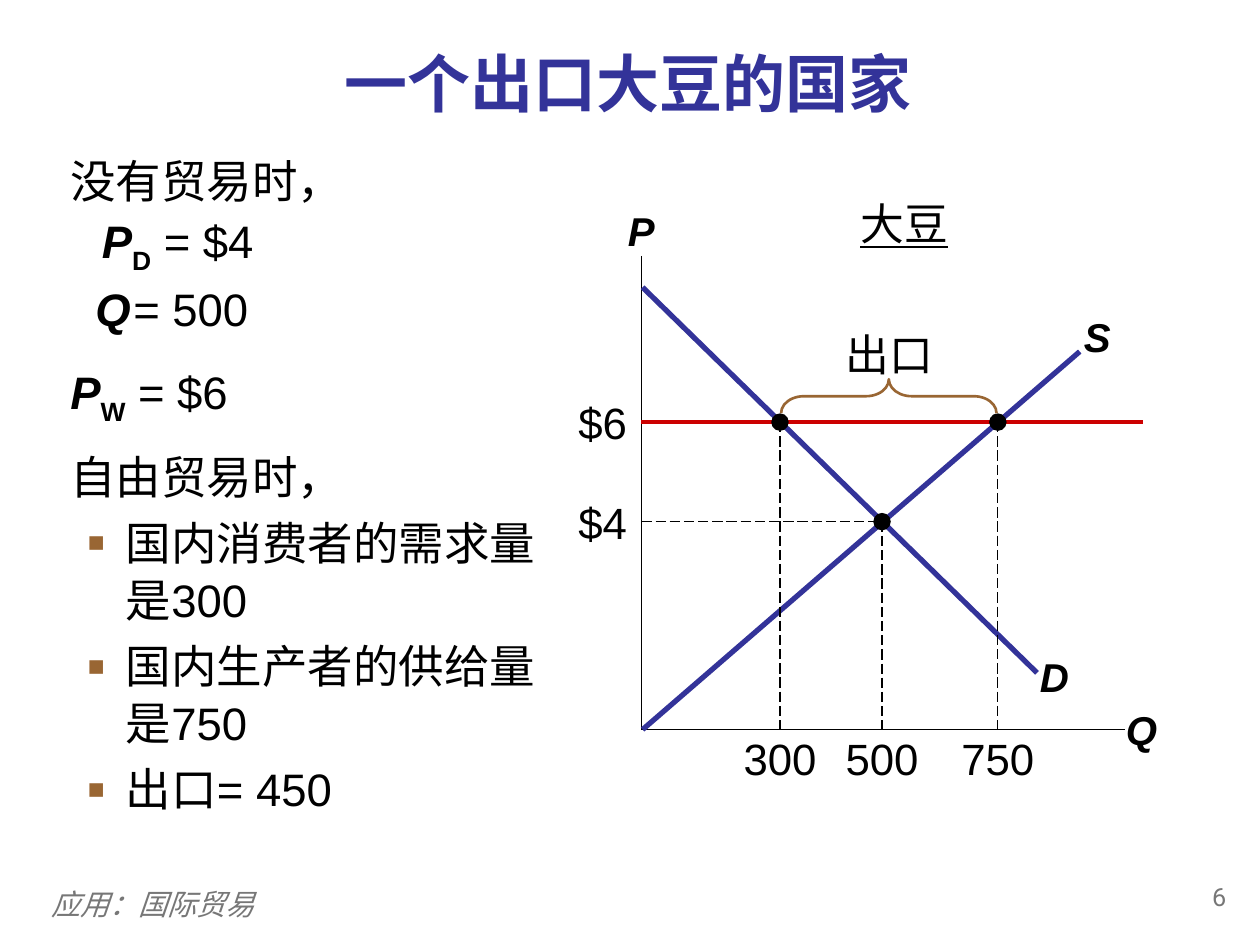
from lxml import etree
from pptx import Presentation
from pptx import util as u
from pptx.dml.color import RGBColor
from pptx.enum import dml, shapes, text
from pptx.oxml.ns import qn

Pt = u.Pt
COLORS = {"blue": "333399", "red": "CC0000", "brown": "996633",
          "black": "000000", "grey": "777777"}
LEFT, CENTER, RIGHT = (text.PP_ALIGN.LEFT, text.PP_ALIGN.CENTER,
                       text.PP_ALIGN.RIGHT)
TOP, MIDDLE = text.MSO_ANCHOR.TOP, text.MSO_ANCHOR.MIDDLE
STYLE = {
    "title": {"size": Pt(36), "name": "Vollkorn", "bold": True},
    "body": {"size": Pt(26), "name": "Arial"},
    "footer": {"size": Pt(16.6), "name": "Arial", "italic": True},
    "number": {"size": Pt(14.4), "name": "Roboto"},
    "letter": {"size": Pt(23), "name": "Arial", "bold": True, "italic": True},
    "label": {"size": Pt(25), "name": "Arial"},
    "heading": {"size": Pt(25), "name": "Arial", "underline": True},
}

deck = Presentation()
deck.slide_width, deck.slide_height = Pt(720), Pt(540)
page = deck.slides.add_slide(deck.slide_layouts[6])


def add_text(words, area, style, color="black", align=CENTER, anchor=MIDDLE,
             insets=(0, 0, 0, 0), spacing=1.0):
    box = page.shapes.add_textbox(*[Pt(n) for n in area])
    frame = box.text_frame
    frame.word_wrap = True
    frame.vertical_anchor = anchor
    for side, inset in zip(("left", "top", "right", "bottom"), insets):
        setattr(frame, f"margin_{side}", Pt(inset))
    para = frame.paragraphs[0]
    para.alignment, para.line_spacing = align, spacing
    span = para.add_run()
    span.text = words
    for name, value in STYLE[style].items():
        setattr(span.font, name, value)
    span.font.color.rgb = RGBColor.from_string(COLORS[color])


def add_line(start, end, color="black", width=0.75, dashed=False):
    line = page.shapes.add_connector(
        shapes.MSO_CONNECTOR.STRAIGHT, *[Pt(n) for n in (*start, *end)])
    line.line.color.rgb = RGBColor.from_string(COLORS[color])
    line.line.width = Pt(width)
    if dashed:
        line.line.dash_style = dml.MSO_LINE.LONG_DASH
    etree.SubElement(line._element.spPr, qn("a:effectLst"))


# Title, footer and page number
normal = (7.2, 3.6, 7.2, 3.6)
add_text("一个出口大豆的国家", (27.4, 20.2, 662.4, 53.3), "title", "blue",
         insets=normal)
add_text("应用：国际贸易", (22.3, 503.3, 577.4, 28.8), "footer", "grey", LEFT,
         insets=normal, spacing=0.9)
add_text("6", (653.8, 501.8, 54, 28.8), "number", "grey", RIGHT, TOP,
         normal, 0.9)

# Body: each entry is (runs, line spacing, space before, first-line indent)
plain, symbol, sub = {}, {"bold": True, "italic": True}, {"bold": True}
body_rows = [
    ([("没有贸易时，", plain)], 1.1, 0, 0),
    ([("P", symbol), ("D", sub), (" = $4", plain)], 1.1, 0, 18),
    ([("Q", symbol), ("\t= 500", plain)], 1.1, 0, 14.4),
    ([("P", symbol), ("W", sub), (" = $6", plain)], 1.05, 14.6, 0),
    ([("自由贸易时，", plain)], 1.05, 11.4, 0),
    ([("国内消费者的需求量是300", plain)], 1.05, 4.9, -22.3),
    ([("国内生产者的供给量是750", plain)], 1.05, 4.9, -22.3),
    ([("出口= 450", plain)], 1.05, 4.9, -22.3),
]
body = page.shapes.add_textbox(Pt(33.1), Pt(80.6), Pt(292.3), Pt(426.2))
body.text_frame.word_wrap = True
for index, (runs, spacing, before, indent) in enumerate(body_rows):
    frame = body.text_frame
    para = frame.add_paragraph() if index else frame.paragraphs[0]
    para.line_spacing, para.space_before = spacing, Pt(before)
    props = para._p.get_or_add_pPr()
    props.set("marL", str(Pt(31.7) if indent < 0 else 0))
    props.set("indent", str(Pt(indent)))
    if indent < 0:
        bullet_color = etree.SubElement(props, qn("a:buClr"))
        etree.SubElement(bullet_color, qn("a:srgbClr"), val=COLORS["brown"])
        etree.SubElement(props, qn("a:buSzPct"), val="120000")
        etree.SubElement(props, qn("a:buFont"), typeface="Arial")
        etree.SubElement(props, qn("a:buChar"), char="▪")
    elif "\t" in runs[-1][0]:
        tabs = etree.SubElement(props, qn("a:tabLst"))
        etree.SubElement(tabs, qn("a:tab"), pos=str(Pt(49)), algn="l")
    for words, extra in runs:
        span = para.add_run()
        span.text = words
        for name, value in {**STYLE["body"], **extra}.items():
            setattr(span.font, name, value)
        span.font.color.rgb = RGBColor.from_string(COLORS["black"])
        if extra is sub:
            span.font._element.set("baseline", "-25000")

# Graph scale
axis_x, axis_y = 366.5, 416.9
quantity_x = {"300": 445.7, "500": 504, "750": 570.2}
price_y = {"$6": 241.2, "$4": 298.1}

# Axes, demand, supply and world price
add_line((axis_x, 146.2), (axis_x, axis_y))
add_line((axis_x, axis_y), (643, axis_y))
add_line((367.2, 164.2), (592.6, 384.5), "blue", 3)
add_line((367.2, axis_y), (617, 200.9), "blue", 3)
add_line((axis_x, price_y["$6"]), (653, price_y["$6"]), "red", 2.25)
for letter, left, top in [("P", 352.1, 114.5), ("Q", 637.9, 399.6),
                          ("D", 588.2, 369.4), ("S", 612.7, 175)]:
    add_text(letter, (left, top, 28.8, 35.3), "letter", anchor=TOP,
             insets=(0, 3.6, 0, 3.6))

# Guides, points and axis labels
add_line((axis_x, price_y["$4"]), (quantity_x["500"], price_y["$4"]),
         dashed=True)
for price, y in price_y.items():
    add_text(price, (323.3, y - 15, 42, 30), "label", align=RIGHT,
             insets=(0, 0, 7.2, 0))
for quantity, x in quantity_x.items():
    y = price_y["$4" if quantity == "500" else "$6"]
    add_line((x, y), (x, axis_y), dashed=True)
    point = page.shapes.add_shape(shapes.MSO_SHAPE.OVAL, Pt(x - 5), Pt(y - 5),
                                  Pt(10), Pt(10))
    point.shadow.inherit = False
    point.fill.solid()
    point.fill.fore_color.rgb = RGBColor.from_string(COLORS["black"])
    point.line.fill.background()
    add_text(quantity, (x - 30, 418.3, 60, 30), "label")

# Heading and export brace
add_text("大豆", (441.4, 112.3, 150.5, 30.2), "heading")
add_text("出口", (458.6, 183.6, 99.4, 37.4), "label", anchor=TOP,
         insets=normal)
brace = page.shapes.add_shape(shapes.MSO_SHAPE.LEFT_BRACE, Pt(498.2),
                              Pt(164.9), Pt(19.4), Pt(123.1))
brace.rotation = 90
brace.adjustments[0] = 0.67
brace.shadow.inherit = False
brace.fill.background()
brace.line.color.rgb = RGBColor.from_string(COLORS["brown"])
brace.line.width = Pt(1.5)

deck.save("out.pptx")
